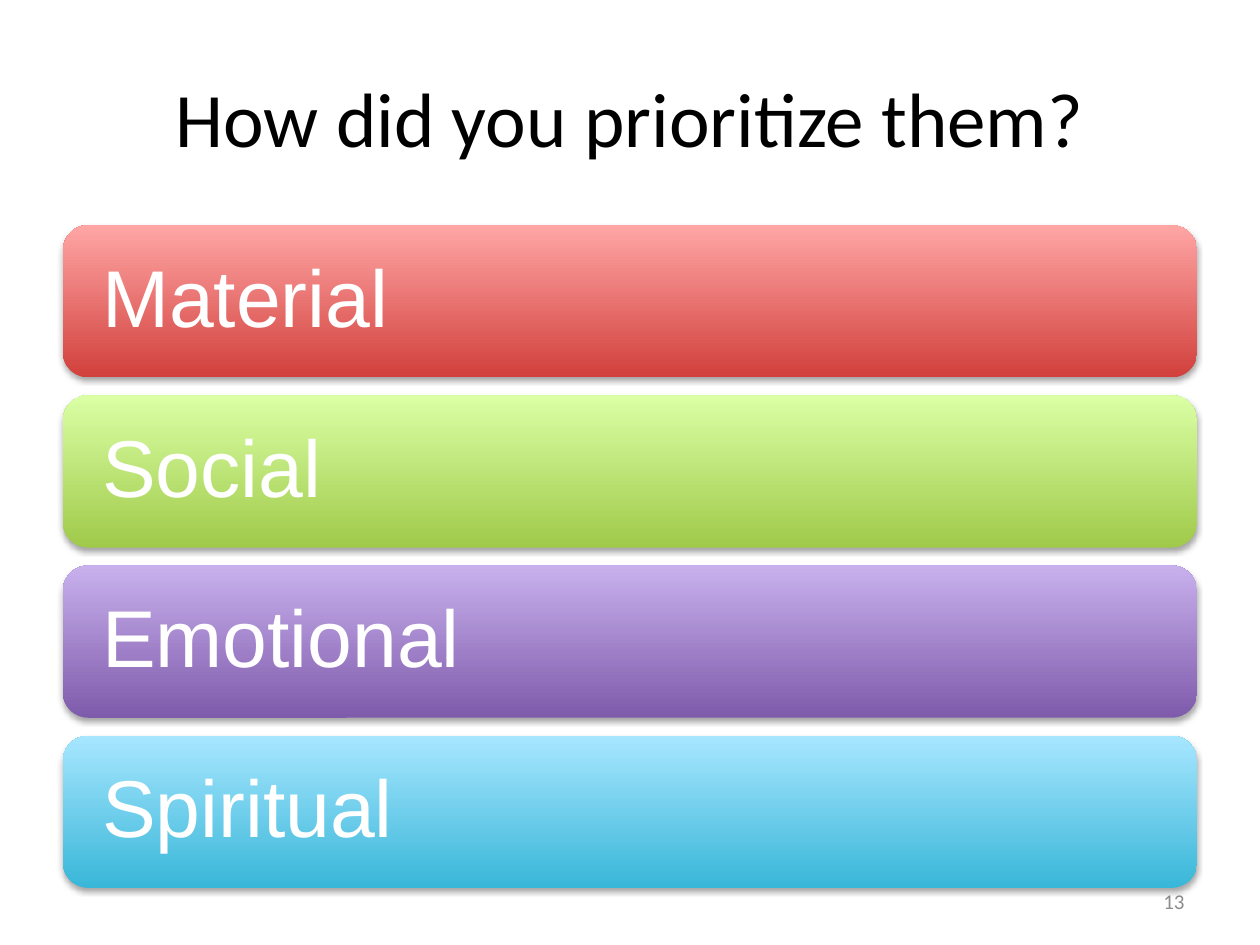
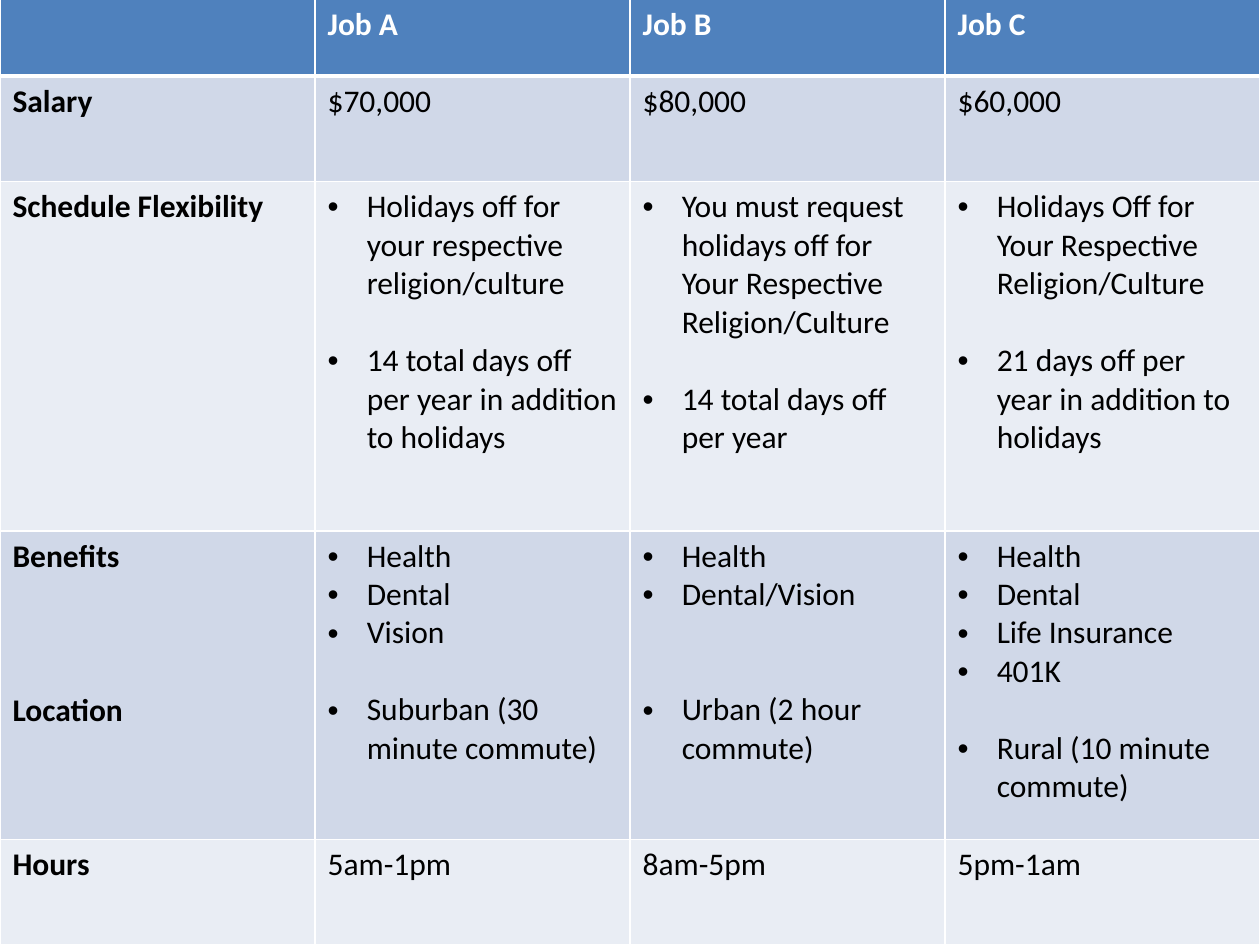
"""Builds two slides: a list of priorities and a comparison of three jobs."""
from lxml.etree import SubElement
from pptx import Presentation
from pptx.dml.color import RGBColor
from pptx.enum.shapes import MSO_SHAPE
from pptx.enum.text import MSO_ANCHOR, PP_ALIGN
from pptx.oxml.ns import qn
from pptx.util import Cm, Pt

TITLE = "How did you prioritize them?"
PAGE_NUMBER = "13"
PRIORITIES = [
    ("Material", "D1403C", "FFA6A5"),
    ("Social", "A0CA4A", "DAFFA5"),
    ("Emotional", "7F5BAB", "C8B0ED"),
    ("Spiritual", "39B7D8", "A7E6FF"),
]

JOBS = ["", "Job A", "Job B", "Job C"]
SALARY = ["Salary", "$70,000", "$80,000", "$60,000"]
FLEXIBILITY = [
    "Schedule Flexibility",
    [("Holidays off for your respective religion/culture", 0),
     ("14 total days off per year in addition to holidays", 1)],
    [("You must request holidays off for Your Respective Religion/Culture", 0),
     ("14 total days off per year", 1)],
    [("Holidays Off for Your Respective Religion/Culture", 0),
     ("21 days off per year in addition to holidays", 1)],
]
BENEFITS = [
    [("Benefits", 0), ("Location", 3)],
    [("Health", 0), ("Dental", 0), ("Vision", 0), ("Suburban (30 minute commute)", 1)],
    [("Health", 0), ("Dental/Vision", 0), ("Urban (2 hour commute)", 2)],
    [("Health", 0), ("Dental", 0), ("Life Insurance", 0), ("401K", 0),
     ("Rural (10 minute commute)", 1)],
]
HOURS = ["Hours", "5am-1pm", "8am-5pm", "5pm-1am"]
ROWS = [JOBS, SALARY, FLEXIBILITY, BENEFITS, HOURS]
ROW_HEIGHTS = [1.55, 2.13, 7.04, 6.22, 2.13]
HEADER_FILL, BAND_FILLS = "4F81BD", ["E9EDF4", "D0D8E8"]

SLIDE_WIDTH, SLIDE_HEIGHT = 25.4, 19.05
MARGIN = 1.27
CONTENT_WIDTH = SLIDE_WIDTH - 2 * MARGIN
BAR_TOP, BAR_HEIGHT, BAR_STEP = 4.54, 3.07, 3.43
BULLET_INDENT = Cm(0.79)
BLANK_LINE = 22


def color(hex_string):
    return RGBColor.from_string(hex_string)


def add_run(paragraph, text, hex_string, **formats):
    run = paragraph.add_run()
    run.text = text
    run.font.color.rgb = color(hex_string)
    for name, value in {"name": "Calibri", **formats}.items():
        setattr(run.font, name, value)


def add_text(slide, box, text, hex_string, size, alignment):
    frame = slide.shapes.add_textbox(*map(Cm, box)).text_frame
    frame.word_wrap = True
    frame.vertical_anchor = MSO_ANCHOR.MIDDLE
    paragraph = frame.paragraphs[0]
    paragraph.alignment = alignment
    add_run(paragraph, text, hex_string, size=Pt(size))


def add_shadow(shape):
    shape.shadow.inherit = False
    effects = shape._element.spPr.find(qn("a:effectLst"))
    shadow = SubElement(effects, qn("a:outerShdw"), blurRad=str(Pt(3.1)),
                        dist=str(Pt(1.8)), dir="5400000", rotWithShape="0")
    shade = SubElement(shadow, qn("a:srgbClr"), val="000000")
    SubElement(shade, qn("a:alpha"), val="35000")


def add_bar(slide, top, label, bottom_color, top_color):
    shape = slide.shapes.add_shape(MSO_SHAPE.ROUNDED_RECTANGLE, Cm(MARGIN), Cm(top),
                                   Cm(CONTENT_WIDTH), Cm(BAR_HEIGHT))
    shape.line.fill.background()
    shape.fill.gradient()
    shape.fill.gradient_angle = 90
    for stop, hex_string in zip(shape.fill.gradient_stops, (bottom_color, top_color)):
        stop.color.rgb = color(hex_string)
    add_shadow(shape)
    frame = shape.text_frame
    frame.vertical_anchor = MSO_ANCHOR.MIDDLE
    frame.margin_left = frame.margin_right = Cm(0.64)
    paragraph = frame.paragraphs[0]
    paragraph.alignment = PP_ALIGN.LEFT
    paragraph.line_spacing = 0.9
    add_run(paragraph, label, "FFFFFF", name="Arial", size=Pt(46))


def add_bullet(paragraph):
    properties = paragraph._p.get_or_add_pPr()
    properties.set("marL", str(BULLET_INDENT))
    properties.set("indent", str(-BULLET_INDENT))
    SubElement(properties, qn("a:buFont"), typeface="Arial")
    SubElement(properties, qn("a:buChar"), char="•")


def add_borders(cell, widths):
    properties = cell._tc.get_or_add_tcPr()
    for side, width in widths.items():
        line = SubElement(properties, qn(f"a:ln{side}"), w=str(Pt(width)))
        fill = SubElement(line, qn("a:solidFill"))
        SubElement(fill, qn("a:srgbClr"), val="FFFFFF")


def fill_cell(cell, content, row, column):
    is_header = row == 0
    add_borders(cell, {"L": 1, "R": 1, "T": 3 if row == 1 else 1, "B": 3 if is_header else 1})
    cell.fill.solid()
    cell.fill.fore_color.rgb = color(HEADER_FILL if is_header else BAND_FILLS[row % 2])
    bulleted = isinstance(content, list) and column > 0
    entries = content if isinstance(content, list) else [(content, 0)]
    for index, (text, blank_lines) in enumerate(entries):
        frame = cell.text_frame
        paragraph = frame.add_paragraph() if index else frame.paragraphs[0]
        if bulleted:
            add_bullet(paragraph)
        if blank_lines:
            paragraph.space_before = Pt(blank_lines * BLANK_LINE)
        if text:
            add_run(paragraph, text, "FFFFFF" if is_header else "000000",
                    size=Pt(18), bold=is_header or column == 0)


def build_priorities(slide):
    add_text(slide, (MARGIN, 0.76, CONTENT_WIDTH, 3.18), TITLE, "000000", 44, PP_ALIGN.CENTER)
    add_text(slide, (18.21, 17.65, 5.92, 1.02), PAGE_NUMBER, "8C8C8C", 12, PP_ALIGN.RIGHT)
    for index, priority in enumerate(PRIORITIES):
        add_bar(slide, BAR_TOP + index * BAR_STEP, *priority)


def build_jobs(slide):
    height = sum(ROW_HEIGHTS)
    table = slide.shapes.add_table(len(ROWS), len(JOBS), Cm(0), Cm(SLIDE_HEIGHT - height),
                                   Cm(SLIDE_WIDTH), Cm(height)).table
    for row, (contents, row_height) in enumerate(zip(ROWS, ROW_HEIGHTS)):
        table.rows[row].height = Cm(row_height)
        for column, content in enumerate(contents):
            fill_cell(table.cell(row, column), content, row, column)


def main():
    presentation = Presentation()
    presentation.slide_width = Cm(SLIDE_WIDTH)
    presentation.slide_height = Cm(SLIDE_HEIGHT)
    for build in (build_priorities, build_jobs):
        build(presentation.slides.add_slide(presentation.slide_layouts[6]))
    presentation.save("out.pptx")


if __name__ == "__main__":
    main()
